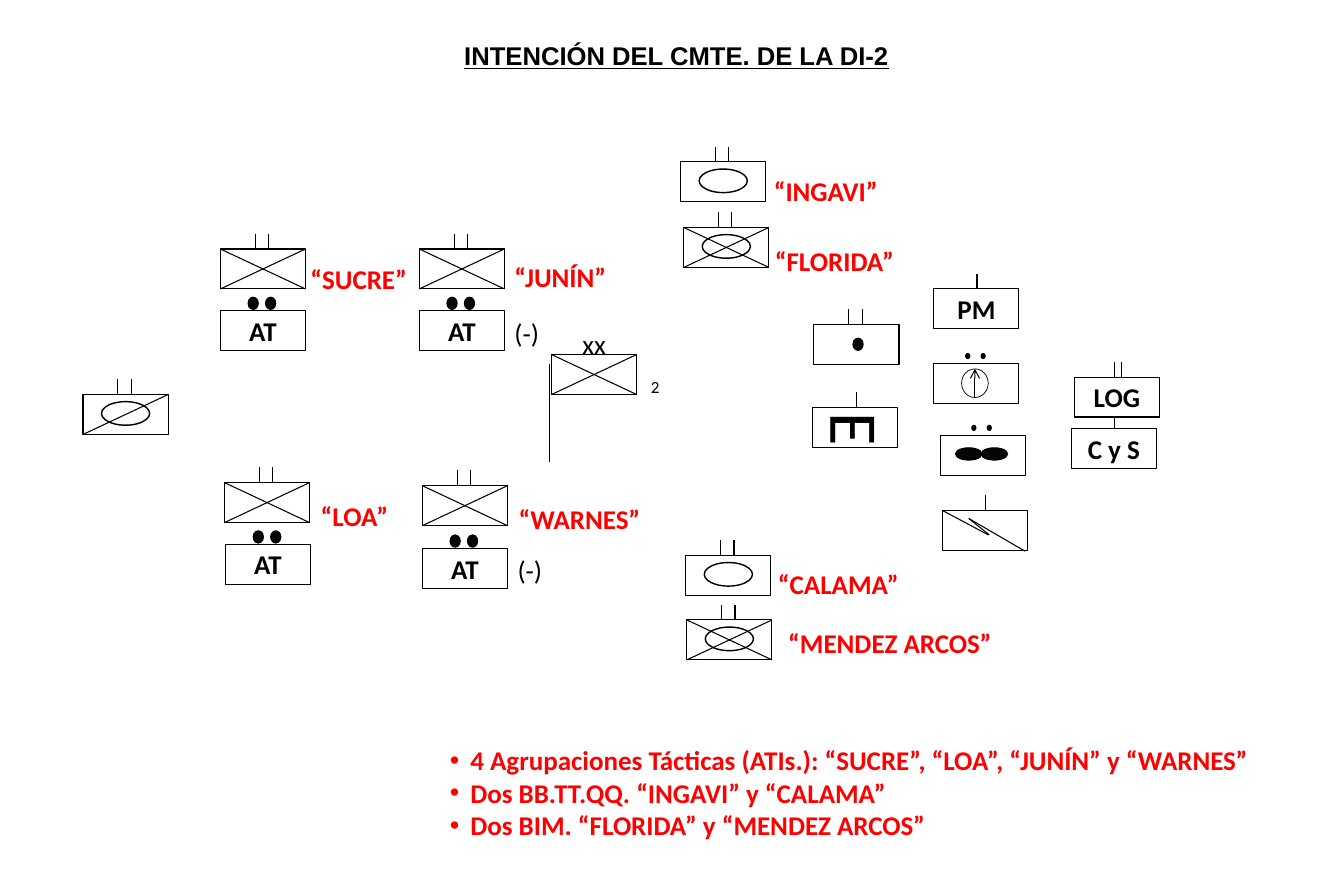
from dataclasses import dataclass

from lxml.etree import SubElement
from pptx import Presentation
from pptx.dml.color import RGBColor
from pptx.enum.shapes import MSO_CONNECTOR as CONNECTOR, MSO_SHAPE as SHAPE
from pptx.enum.text import MSO_ANCHOR as ANCHOR, PP_ALIGN as ALIGN
from pptx.oxml.ns import qn
from pptx.util import Inches, Pt


@dataclass(frozen=True)
class Theme:
    ink: RGBColor = RGBColor(0, 0, 0)
    dot: RGBColor = RGBColor(5, 5, 5)
    paper: RGBColor = RGBColor(255, 255, 255)
    accent: RGBColor = RGBColor(255, 0, 0)
    thin: float = 0.5
    line: float = 0.75
    thick: float = 1
    small: int = 12
    title: int = 18
    body: int = 19
    letter: int = 48


THEME = Theme()
UNIT_W, UNIT_H = 0.83, 0.39

PLAIN = {"name": "Calibri", "size": Pt(THEME.body)}
BOLD = PLAIN | {"bold": True}
TITLE = {"name": "Arial", "size": Pt(THEME.title), "bold": True, "underline": True}

# Echelon marks above a unit: offsets from its left edge
TICKS = {"battalion": (0.34, 0.47), "logistics": (0.39, 0.46), "company": (0.42,)}
DOTS = {"section": ((0.27, 0.44), 0.13, 0.1, 0.12),
        "platoon": ((0.31, 0.46), 0.1, 0.04, 0.05)}

# Left, top, echelon, symbol or label
UNITS = [
    (9.11, 3.55, "platoon", "arrow"),
    (2.15, 2.43, "battalion", "infantry"),
    (10.45, 4.18, "company", "C y S"),
    (7.94, 3.17, "battalion", "artillery"),
    (7.93, 3.98, "company", "engineers"),
    (9.19, 4.98, "company", "signals"),
    (10.48, 3.68, "logistics", "LOG"),
    (9.11, 2.82, "company", "PM"),
    (2.19, 4.71, "battalion", "infantry"),
    (4.09, 2.43, "battalion", "infantry"),
    (4.12, 4.74, "battalion", "infantry"),
    (2.2, 5.31, "section", "AT"),
    (2.15, 3.03, "section", "AT"),
    (4.09, 3.03, "section", "AT"),
    (0.81, 3.85, "battalion", "cavalry"),
    (9.17, 4.25, "platoon", "aviation"),
    (5.38, 3.46, "division", "infantry"),
    (4.12, 5.35, "section", "AT"),
    (6.69, 5.42, "battalion", "armour"),
    (6.64, 1.58, "battalion", "armour"),
    (6.67, 2.22, "battalion", "mechanized"),
    (6.7, 6.05, "battalion", "mechanized"),
]

# Left, top, width, name
UNIT_NAMES = [
    (2.93, 2.51, 1.15, "“SUCRE”"), (3.03, 4.83, 0.87, "“LOA”"),
    (4.92, 2.49, 1.11, "“JUNÍN”"), (4.96, 4.85, 1.4, "“WARNES”"),
    (7.45, 1.65, 1.23, "“INGAVI”"), (7.49, 5.49, 1.39, "“CALAMA”"),
    (7.46, 2.34, 1.38, "“FLORIDA”"), (7.59, 6.06, 2.21, "“MENDEZ ARCOS”"),
]

TASK_GROUPS = [
    "4 Agrupaciones Tácticas (ATIs.): “SUCRE”, “LOA”, “JUNÍN” y “WARNES”",
    "Dos BB.TT.QQ. “INGAVI” y “CALAMA”",
    "Dos BIM. “FLORIDA” y “MENDEZ ARCOS”",
]


def style(font, formats, color=THEME.ink):
    for attribute, value in formats.items():
        setattr(font, attribute, value)
    font.color.rgb = color


def add_outline(shapes, kind, box, fill=None, weight=THEME.line):
    outline = shapes.add_shape(kind, *map(Inches, box))
    outline.shadow.inherit = False
    if fill is None:
        outline.fill.background()
    else:
        outline.fill.solid()
        outline.fill.fore_color.rgb = fill
    outline.line.color.rgb = THEME.ink
    outline.line.width = Pt(weight)
    return outline


def add_line(shapes, x1, y1, x2, y2, arrow=False):
    line = shapes.add_connector(CONNECTOR.STRAIGHT, *map(Inches, (x1, y1, x2, y2)))
    line.line.color.rgb = THEME.ink
    line.line.width = Pt(THEME.line)
    if arrow:
        SubElement(line.line._get_or_add_ln(), qn("a:tailEnd"), type="arrow")
    SubElement(line._element.spPr, qn("a:effectLst"))


def add_text(shapes, box, words, formats, color=THEME.ink, align=ALIGN.LEFT, wrap=False):
    note = shapes.add_textbox(*map(Inches, box))
    note.text_frame.word_wrap = wrap
    paragraph = note.text_frame.paragraphs[0]
    paragraph.text = words
    paragraph.alignment = align
    style(paragraph.font, formats, color)
    return note


def add_echelon(shapes, x, y, echelon):
    for dx in TICKS.get(echelon, ()):
        add_line(shapes, x + dx, y - 0.15, x + dx, y)
    if echelon in DOTS:
        offsets, rise, w, h = DOTS[echelon]
        for dx in offsets:
            add_outline(shapes, SHAPE.OVAL, (x + dx, y - rise, w, h), THEME.dot)
    if echelon == "division":
        add_text(shapes, (x + 0.18, y - 0.31, 0.47, 0.42), "xx", PLAIN, align=ALIGN.CENTER)
        add_line(shapes, x - 0.02, y + 0.09, x - 0.02, y + 1.05)


def add_symbol(shapes, x, y, symbol):
    right, bottom = x + UNIT_W, y + UNIT_H
    if symbol in ("infantry", "mechanized", "cavalry"):
        add_line(shapes, right, y, x, bottom)
    if symbol in ("infantry", "mechanized"):
        add_line(shapes, right, bottom, x, y)
    if symbol in ("armour", "mechanized", "cavalry"):
        add_outline(shapes, SHAPE.OVAL, (x + 0.18, y + 0.07, 0.47, 0.23), weight=THEME.thick)
    elif symbol == "artillery":
        add_outline(shapes, SHAPE.OVAL, (x + 0.38, y + 0.13, 0.1, 0.12), THEME.dot)
    elif symbol == "aviation":
        for dx in (0.4, 0.15):
            add_outline(shapes, SHAPE.OVAL, (x + dx, y + 0.12, 0.26, 0.12), THEME.dot)
    elif symbol == "arrow":
        add_outline(shapes, SHAPE.OVAL, (x + 0.27, y + 0.05, 0.26, 0.28), THEME.paper, THEME.thin)
        add_line(shapes, x + 0.4, y + 0.33, x + 0.4, y + 0.05, arrow=True)
    elif symbol == "signals":
        add_line(shapes, x + 0.45, y + 0.24, x, y)
        add_line(shapes, x + 0.81, y + 0.4, x + 0.26, y + 0.08)
        add_line(shapes, x + 0.46, y + 0.24, x + 0.26, y + 0.08)
    elif symbol == "engineers":
        letter = add_text(shapes, (x + 0.24, y - 0.32, 0.38, 0.91), "E",
                          PLAIN | {"size": Pt(THEME.letter)}, wrap=True)
        letter.rotation = 90


def add_unit(slide, x, y, echelon, symbol):
    shapes = slide.shapes.add_group_shape().shapes
    frame = add_outline(shapes, SHAPE.RECTANGLE, (x, y, UNIT_W, UNIT_H), THEME.paper)
    if symbol in ("AT", "PM", "LOG", "C y S"):
        label = frame.text_frame
        label.word_wrap = False
        label.vertical_anchor = ANCHOR.MIDDLE
        label.text = symbol
        label.paragraphs[0].alignment = ALIGN.CENTER
        style(label.paragraphs[0].font, BOLD)
    add_echelon(shapes, x, y, echelon)
    add_symbol(shapes, x, y, symbol)


def add_task_groups(slide, box):
    frame = slide.shapes.add_textbox(*map(Inches, box)).text_frame
    frame.word_wrap = True
    for index, task in enumerate(TASK_GROUPS):
        paragraph = frame.add_paragraph() if index else frame.paragraphs[0]
        properties = paragraph._p.get_or_add_pPr()
        properties.set("marL", str(Inches(0.2)))
        properties.set("indent", str(-Inches(0.2)))
        SubElement(properties, qn("a:buFont"), typeface="Arial")
        SubElement(properties, qn("a:buChar"), char="•")
        paragraph.text = task
        style(paragraph.font, BOLD, THEME.accent)


def main():
    deck = Presentation()
    deck.slide_width, deck.slide_height = Inches(13.11), Inches(8.51)
    slide = deck.slides.add_slide(deck.slide_layouts[6])

    # Heading
    heading = add_text(slide.shapes, (4.43, 0.34, 4.38, 0.4),
                       "INTENCIÓN DEL CMTE. DE LA DI-2", TITLE)
    heading.text_frame.vertical_anchor = ANCHOR.MIDDLE

    # Deployed units with their names
    for unit in UNITS:
        add_unit(slide, *unit)
    for x, y, width, name in UNIT_NAMES:
        add_text(slide.shapes, (x, y, width, 0.42), name, BOLD, THEME.accent)

    # Division number and reduced-strength marks
    add_text(slide.shapes, (6.25, 3.62, 0.39, 0.3), "2", PLAIN | {"size": Pt(THEME.small)}, wrap=True)
    for x, y in ((4.92, 3.04), (4.95, 5.35)):
        add_text(slide.shapes, (x, y, 0.81, 0.42), "(-)", PLAIN, wrap=True)

    # Summary
    add_task_groups(slide, (4.29, 7.21, 8.4, 1.06))
    deck.save("out.pptx")


if __name__ == "__main__":
    main()
